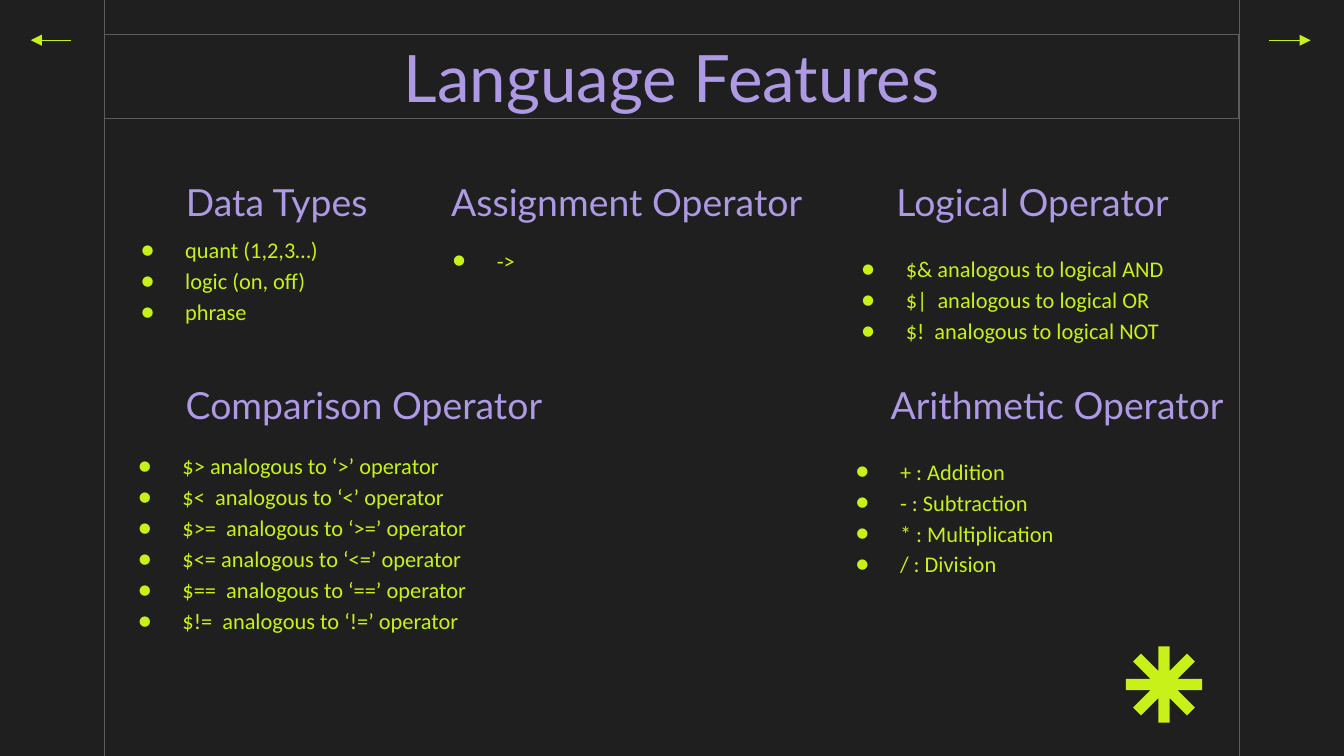
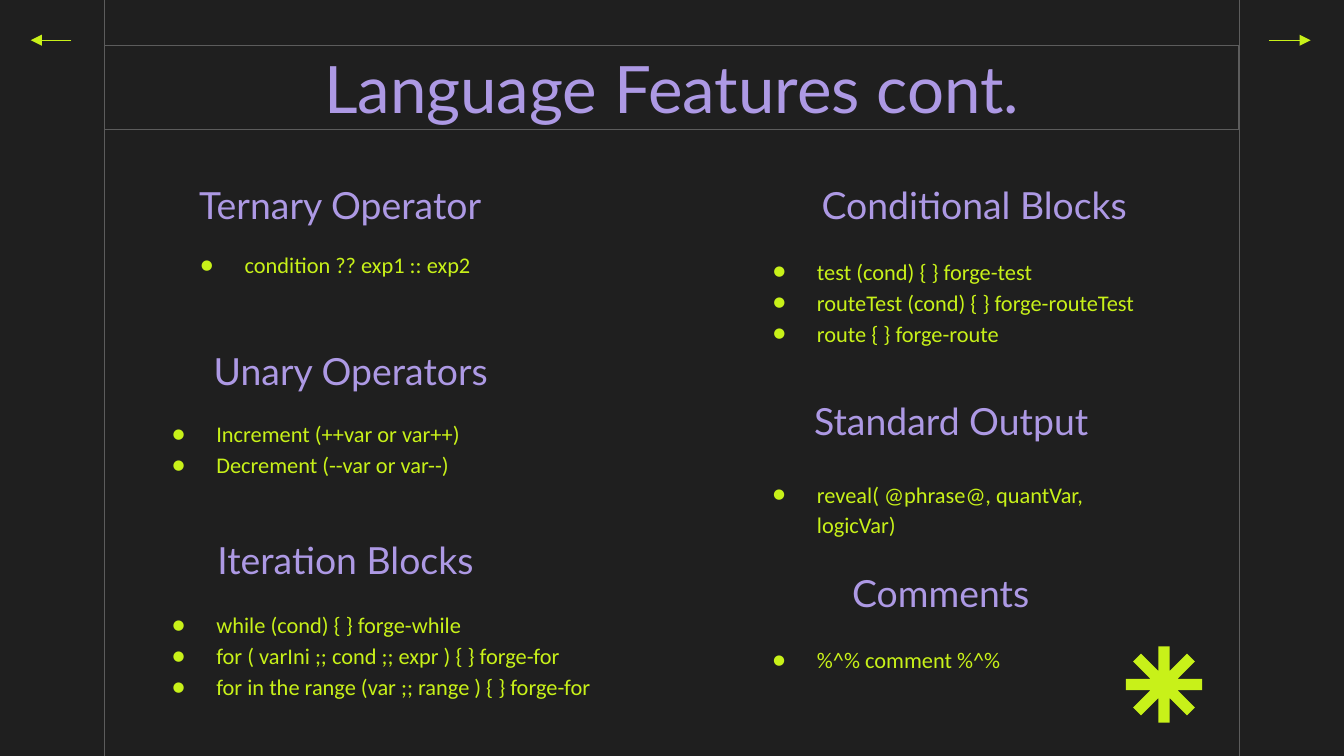
from dataclasses import dataclass
from math import cos, pi, sin

from pptx import Presentation
from pptx.dml.color import RGBColor
from pptx.enum.shapes import MSO_CONNECTOR
from pptx.enum.text import MSO_ANCHOR, MSO_AUTO_SIZE, PP_ALIGN
from pptx.oxml.ns import qn
from pptx.util import Cm, Pt
from lxml.etree import SubElement


@dataclass(frozen=True)
class Theme:
    background: str = "1F1F1F"
    rule: str = "5C5C5C"
    accent: str = "C8F119"
    heading: str = "AD99E4"
    heading_font: str = "Lato"
    list_font: str = "Calibri"
    title_size: int = 35
    heading_size: int = 20
    list_size: int = 12
    line_width: float = 0.75


@dataclass(frozen=True)
class Box:
    left: float
    top: float
    width: float
    height: float


@dataclass(frozen=True)
class Section:
    """Lengths in cm; the heading and list are placed from left and top."""
    heading: str
    items: tuple
    left: float
    top: float
    heading_indent: float
    heading_width: float
    list_drop: float
    list_width: float
    list_height: float
    alignment: PP_ALIGN = PP_ALIGN.LEFT


THEME = Theme()
SLIDE = Box(0, 0, 25.4, 14.29)
FRAME = Box(1.98, 0, 21.44, 14.29)
TITLE_HEIGHT = 1.59
HEADING_HEIGHT = 1.24
COMPARISON_LAYOUT = 4
HEADING_PLACEHOLDERS = (1, 3)
LIST_PLACEHOLDERS = (2, 4)

FEATURES = (
    Section("Data Types", ("quant (1,2,3…)", "logic (on, off)", "phrase"),
            1.98, 3.25, 1.04, 4.42, 0.89, 5.54, 2.13),
    Section("Assignment Operator", ("->",),
            7.87, 3.25, 0.23, 7.49, 1.09, 4.29, 1.14),
    Section("Logical Operator",
            ("$& analogous to logical AND", "$|  analogous to logical OR",
             "$!  analogous to logical NOT"),
            15.6, 3.25, 0.83, 6.17, 1.25, 7.72, 2.49),
    Section("Comparison Operator",
            ("$> analogous to ‘>’ operator", "$<  analogous to ‘<’ operator",
             "$>=  analogous to ‘>=’ operator", "$<= analogous to ‘<=’ operator",
             "$==  analogous to ‘==’ operator", "$!=  analogous to ‘!=’ operator"),
            1.93, 7.09, 1.09, 7.72, 1.14, 10.24, 4.04),
    Section("Arithmetic Operator",
            ("+ : Addition", "- : Subtraction", "* : Multiplication", "/ : Division"),
            15.49, 7.09, 0.92, 7.14, 1.24, 5.28, 2.87),
)

MORE_FEATURES = (
    Section("Ternary Operator", ("condition ?? exp1 :: exp2",),
            2.57, 3.3, 0, 7.72, 1.12, 7.11, 1.24, PP_ALIGN.CENTER),
    Section("Conditional Blocks",
            ("test (cond) { } forge-test", "routeTest (cond) { } forge-routeTest",
             "route { } forge-route"),
            13.92, 3.3, 1.27, 6.45, 1.25, 9.5, 2.31),
    Section("Unary Operators",
            ("Increment (++var or var++)", "Decrement (--var or var--)"),
            2.57, 6.43, 0.2, 7.72, 1.19, 8.38, 1.24),
    Section("Standard Output", ("reveal( @phrase@, quantVar, logicVar)",),
            13.92, 7.39, 0.2, 7.72, 1.37, 8.38, 1.47),
    Section("Iteration Blocks",
            ("while (cond) { } forge-while",
             "for ( varIni ;; cond ;; expr ) { } forge-for",
             "for in the range (var ;; range ) { } forge-for"),
            2.57, 10.01, 0.1, 7.72, 1.22, 11.38, 2.16),
    Section("Comments", ("%^% comment %^%",),
            13.92, 10.64, 0, 7.72, 1.25, 7.11, 1.24),
)


def color(value):
    return RGBColor.from_string(value)


def add_bullet(paragraph):
    properties = paragraph._p.get_or_add_pPr()
    properties.set("marL", str(Cm(1.27)))
    properties.set("indent", str(Cm(-0.84)))
    bullet_color = SubElement(properties, qn("a:buClr"))
    SubElement(bullet_color, qn("a:srgbClr"), val=THEME.accent)
    SubElement(properties, qn("a:buFont"), typeface=THEME.list_font)
    SubElement(properties, qn("a:buChar"), char="●")


def write_text(shape, box, lines, *, font, size, ink, anchor,
               alignment=PP_ALIGN.CENTER, spacing=1.0, bulleted=False):
    """Place a text shape in its box and fill it with formatted lines."""
    shape.left, shape.top = Cm(box.left), Cm(box.top)
    shape.width, shape.height = Cm(box.width), Cm(box.height)
    frame = shape.text_frame
    frame.word_wrap = True
    frame.auto_size = MSO_AUTO_SIZE.NONE
    frame.vertical_anchor = anchor
    frame.margin_left = frame.margin_right = Cm(0.25)
    frame.margin_top = frame.margin_bottom = Cm(0.25)
    frame.text = "\n".join(lines)
    for paragraph in frame.paragraphs:
        paragraph.alignment = alignment
        paragraph.line_spacing = spacing
        paragraph.space_before = paragraph.space_after = Pt(0)
        if bulleted:
            add_bullet(paragraph)
        for run in paragraph.runs:
            run.font.name = font
            run.font.size = Pt(size)
            run.font.bold = False
            run.font.color.rgb = color(ink)


def add_line(slide, start, end, ink, arrow=False):
    points = [Cm(length) for length in (*start, *end)]
    connector = slide.shapes.add_connector(MSO_CONNECTOR.STRAIGHT, *points)
    connector.line.color.rgb = color(ink)
    connector.line.width = Pt(THEME.line_width)
    if arrow:
        SubElement(connector.line._get_or_add_ln(), qn("a:tailEnd"), type="triangle")
    SubElement(connector._element.spPr, qn("a:effectLst"))


def add_asterisk(slide, center_x, center_y, radius, arm_width):
    """Eight straight arms, with a notch between each pair."""
    half = arm_width / 2
    notch = half / sin(pi / 8)
    points = []
    for arm in range(8):
        angle = arm * pi / 4
        for side in (-half, half):
            points.append((center_x + radius * cos(angle) - side * sin(angle),
                           center_y + radius * sin(angle) + side * cos(angle)))
        points.append((center_x + notch * cos(angle + pi / 8),
                       center_y + notch * sin(angle + pi / 8)))
    points = [(Cm(x), Cm(y)) for x, y in points]
    builder = slide.shapes.build_freeform(*points[0])
    builder.add_line_segments(points[1:], close=True)
    asterisk = builder.convert_to_shape()
    asterisk.shadow.inherit = False
    asterisk.fill.solid()
    asterisk.fill.fore_color.rgb = color(THEME.accent)
    asterisk.line.fill.background()


def add_decoration(slide, box):
    # Vertical rules
    right = box.left + box.width
    for x in (box.left, right):
        add_line(slide, (x, box.top), (x, box.top + box.height), THEME.rule)
    # Arrows in the side margins
    arrow_y = box.top + 0.76
    add_line(slide, (right + 0.56, arrow_y), (right + 1.35, arrow_y), THEME.accent, arrow=True)
    add_line(slide, (box.left - 0.63, arrow_y), (box.left - 1.4, arrow_y), THEME.accent, arrow=True)
    # Corner ornament
    add_asterisk(slide, right - 1.42, box.top + box.height - 1.35, 0.72, 0.21)


def add_title(slide, box, text):
    title = slide.shapes.title
    write_text(title, box, [text], font=THEME.heading_font, size=THEME.title_size,
               ink=THEME.heading, anchor=MSO_ANCHOR.MIDDLE)
    title.line.color.rgb = color(THEME.rule)
    title.line.width = Pt(THEME.line_width)


def take_text_shape(slide, spare):
    """Use a free placeholder first, then a text box."""
    return spare.pop(0) if spare else slide.shapes.add_textbox(0, 0, 0, 0)


def add_section(slide, section, spare_headings, spare_lists):
    heading_box = Box(section.left + section.heading_indent, section.top,
                      section.heading_width, HEADING_HEIGHT)
    write_text(take_text_shape(slide, spare_headings), heading_box, [section.heading],
               font=THEME.heading_font, size=THEME.heading_size, ink=THEME.heading,
               anchor=MSO_ANCHOR.BOTTOM)
    list_box = Box(section.left, section.top + section.list_drop,
                   section.list_width, section.list_height)
    write_text(take_text_shape(slide, spare_lists), list_box, section.items,
               font=THEME.list_font, size=THEME.list_size, ink=THEME.accent,
               anchor=MSO_ANCHOR.TOP, alignment=section.alignment,
               spacing=1.15, bulleted=True)


def add_feature_slide(presentation, title, title_top, sections):
    slide = presentation.slides.add_slide(presentation.slide_layouts[COMPARISON_LAYOUT])
    add_decoration(slide, FRAME)
    add_title(slide, Box(FRAME.left, title_top, FRAME.width, TITLE_HEIGHT), title)
    spare_headings = [slide.placeholders[index] for index in HEADING_PLACEHOLDERS]
    spare_lists = [slide.placeholders[index] for index in LIST_PLACEHOLDERS]
    for section in sections:
        add_section(slide, section, spare_headings, spare_lists)


def main():
    presentation = Presentation()
    presentation.slide_width = Cm(SLIDE.width)
    presentation.slide_height = Cm(SLIDE.height)
    background = presentation.slide_master.background.fill
    background.solid()
    background.fore_color.rgb = color(THEME.background)
    add_feature_slide(presentation, "Language Features", 0.65, FEATURES)
    add_feature_slide(presentation, "Language Features cont.", 0.86, MORE_FEATURES)
    presentation.save("out.pptx")


if __name__ == "__main__":
    main()
